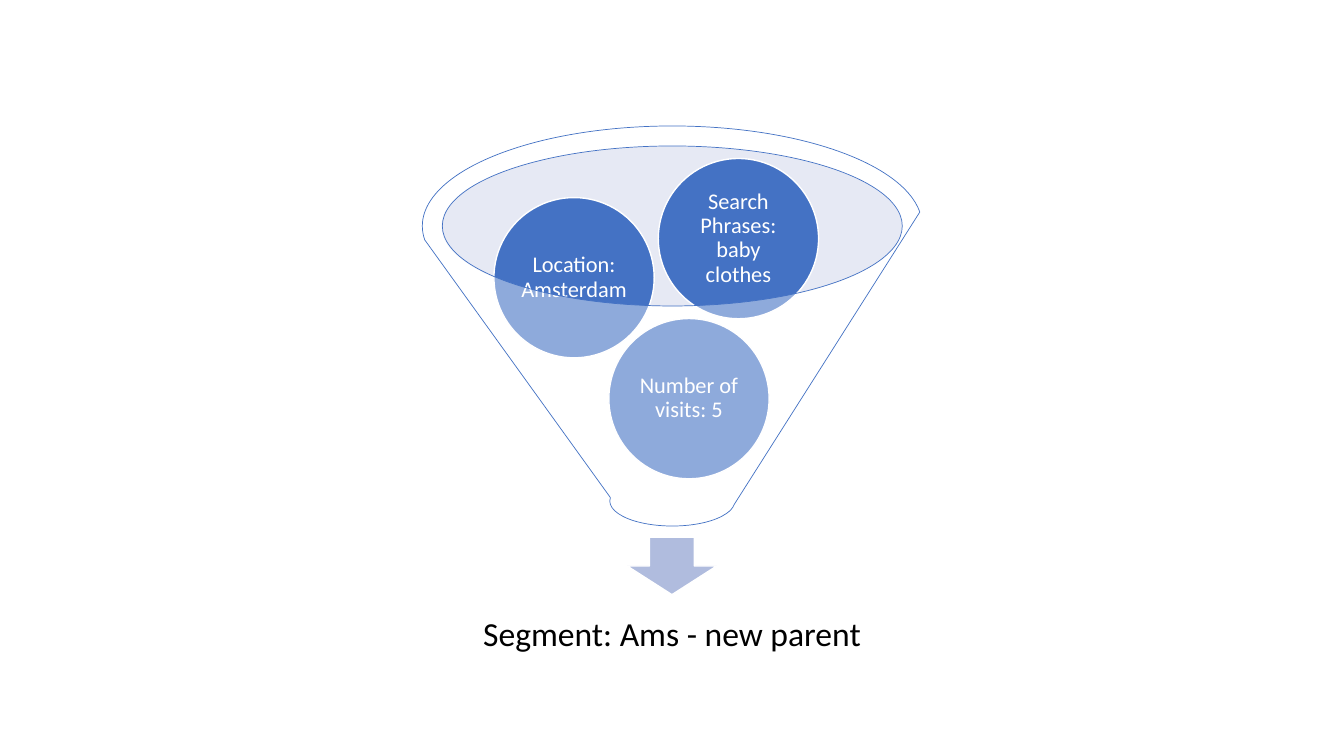
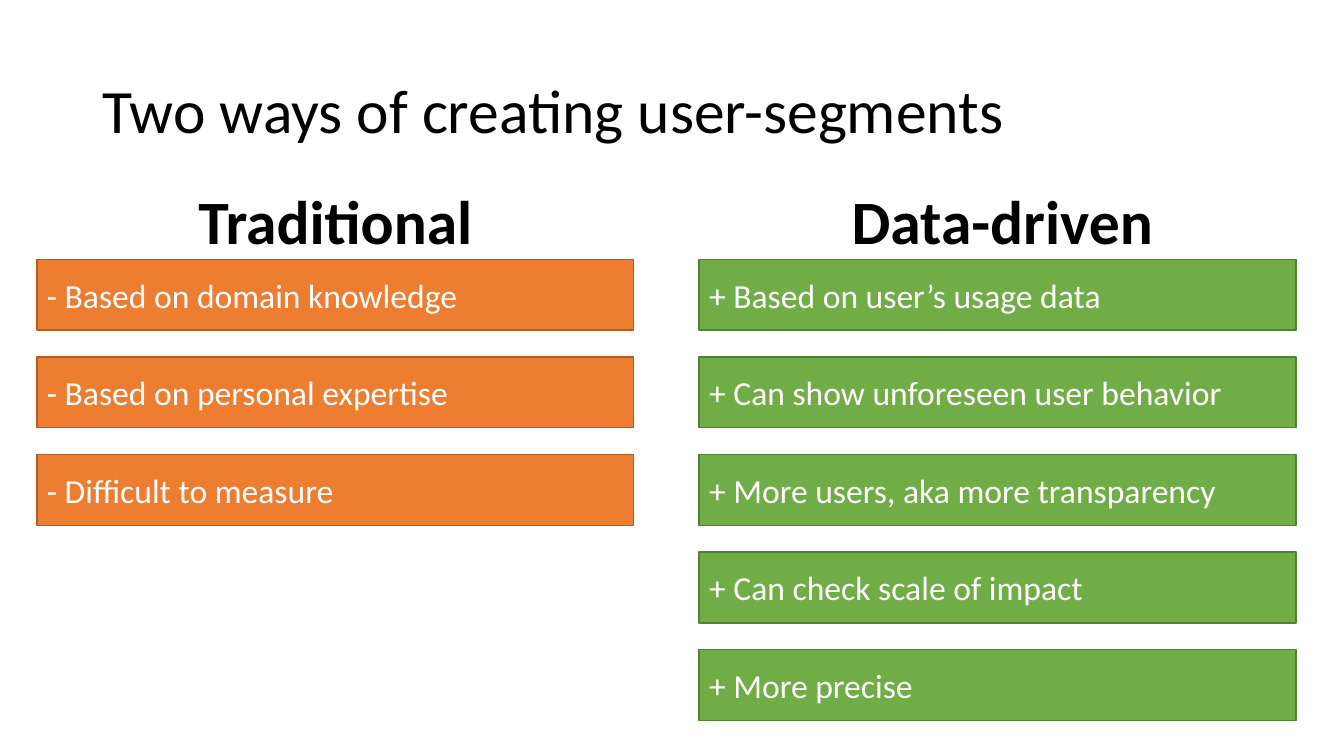
from pptx import Presentation
from pptx.dml.color import RGBColor
from pptx.enum.shapes import MSO_SHAPE
from pptx.enum.text import MSO_ANCHOR, MSO_AUTO_SIZE, PP_ALIGN
from pptx.oxml.ns import qn
from pptx.util import Pt
from lxml import etree

ELLIPSE, RECT = MSO_SHAPE.OVAL, MSO_SHAPE.RECTANGLE
DOWN_ARROW, FUNNEL = MSO_SHAPE.DOWN_ARROW, MSO_SHAPE.FUNNEL
LEFT, CENTER = PP_ALIGN.LEFT, PP_ALIGN.CENTER
TOP, MIDDLE = MSO_ANCHOR.TOP, MSO_ANCHOR.MIDDLE
NO_FIT = MSO_AUTO_SIZE.NONE

FONT = "Calibri"
BLACK, WHITE, BLUE = "000000", "FFFFFF", "4472C4"
ORANGE, DARK_ORANGE = "ED7D31", "AF5C24"
GREEN, DARK_GREEN = "70AD47", "538035"
BLANK, TITLE_ONLY = 6, 5

CIRCLE_SIZE = 114.5
CIRCLES = [
    ("Number of visits: 5", 434.9, 227.5),
    ("Location: Amsterdam", 352.8, 141.1),
    ("Search Phrases: baby clothes", 470.2, 113.2),
]

BAR_TOP, BAR_PITCH, BAR_WIDTH, BAR_HEIGHT = 185.3, 69.7, 426.4, 50.5
HEADING_TOP, HEADING_HEIGHT = 133.2, 64
COLUMNS = [
    ("Traditional", 134.6, 219, 26.4, ORANGE, DARK_ORANGE, [
        "- Based on domain knowledge",
        "- Based on personal expertise",
        "- Difficult to measure",
    ]),
    ("Data-driven", 601.2, 243.4, 499.4, GREEN, DARK_GREEN, [
        "+ Based on user’s usage data",
        "+ Can show unforeseen user behavior",
        "+ More users, aka more transparency",
        "+ Can check scale of impact",
        "+ More precise",
    ]),
]


def rgb(color):
    return RGBColor.from_string(color)


def place(sp, x, y, w, h):
    sp.left, sp.top, sp.width, sp.height = Pt(x), Pt(y), Pt(w), Pt(h)


def write(sp, text, size=24, color=BLACK, bold=False, align=LEFT,
          anchor=MIDDLE, spacing=0.9, inset=None):
    tf = sp.text_frame
    tf.word_wrap = True
    tf.auto_size = NO_FIT
    tf.vertical_anchor = anchor
    if inset is not None:
        tf.margin_left = tf.margin_right = Pt(inset)
        tf.margin_top = tf.margin_bottom = Pt(inset)
    p = tf.paragraphs[0]
    p.alignment = align
    p.line_spacing = spacing
    r = p.add_run()
    r.text = text
    r.font.name = FONT
    r.font.size = Pt(size)
    r.font.bold = bold
    r.font.color.rgb = rgb(color)


def add_shape(s, kind, x, y, w, h, fill, line=None, line_width=1, alpha=None):
    sp = s.shapes.add_shape(kind, Pt(x), Pt(y), Pt(w), Pt(h))
    sp.shadow.inherit = False
    sp.fill.solid()
    sp.fill.fore_color.rgb = rgb(fill)
    if alpha is not None:
        clr = sp.fill._xPr.find(qn("a:solidFill"))[0]
        etree.SubElement(clr, qn("a:alpha")).set("val", str(alpha * 1000))
    if line:
        sp.line.color.rgb = rgb(line)
        sp.line.width = Pt(line_width)
    else:
        sp.line.fill.background()
    return sp


def add_text(s, text, x, y, w, h, **fmt):
    write(s.shapes.add_textbox(Pt(x), Pt(y), Pt(w), Pt(h)), text, **fmt)


def add_title(s, text):
    place(s.shapes.title, 66, 28.8, 828, 104.4)
    write(s.shapes.title, text, size=44)


def build_funnel(prs):
    s = prs.slides.add_slide(prs.slide_layouts[BLANK])
    add_shape(s, ELLIPSE, 315.4, 104.4, 329, 114.5, "C1C9E4", alpha=40)
    add_shape(s, DOWN_ARROW, 448, 383.8, 64, 41, "B0BCDE", WHITE)
    add_text(s, "Segment: Ams - new parent", 327, 416.2, 306, 76.3,
             align=CENTER, inset=13.7)
    for text, x, y in CIRCLES:
        sp = add_shape(s, ELLIPSE, x, y, CIRCLE_SIZE, CIRCLE_SIZE, BLUE, WHITE)
        write(sp, text, size=16, color=WHITE, align=CENTER, inset=1.5)
    add_shape(s, FUNNEL, 301.7, 90, 357.1, 285.8, WHITE, BLUE, 0.5, alpha=40)


def build_comparison(prs):
    s = prs.slides.add_slide(prs.slide_layouts[TITLE_ONLY])
    add_title(s, "Two ways of creating user-segments")
    for heading, heading_x, heading_w, bar_x, fill, line, points in COLUMNS:
        add_text(s, heading, heading_x, HEADING_TOP, heading_w, HEADING_HEIGHT,
                 size=44, bold=True, anchor=TOP)
        for i, point in enumerate(points):
            sp = add_shape(s, RECT, bar_x, BAR_TOP + i * BAR_PITCH,
                           BAR_WIDTH, BAR_HEIGHT, fill, line)
            write(sp, point, color=WHITE, spacing=1.0)


def main():
    prs = Presentation()
    prs.slide_width, prs.slide_height = Pt(960), Pt(540)
    build_funnel(prs)
    build_comparison(prs)
    prs.save("out.pptx")


if __name__ == "__main__":
    main()
